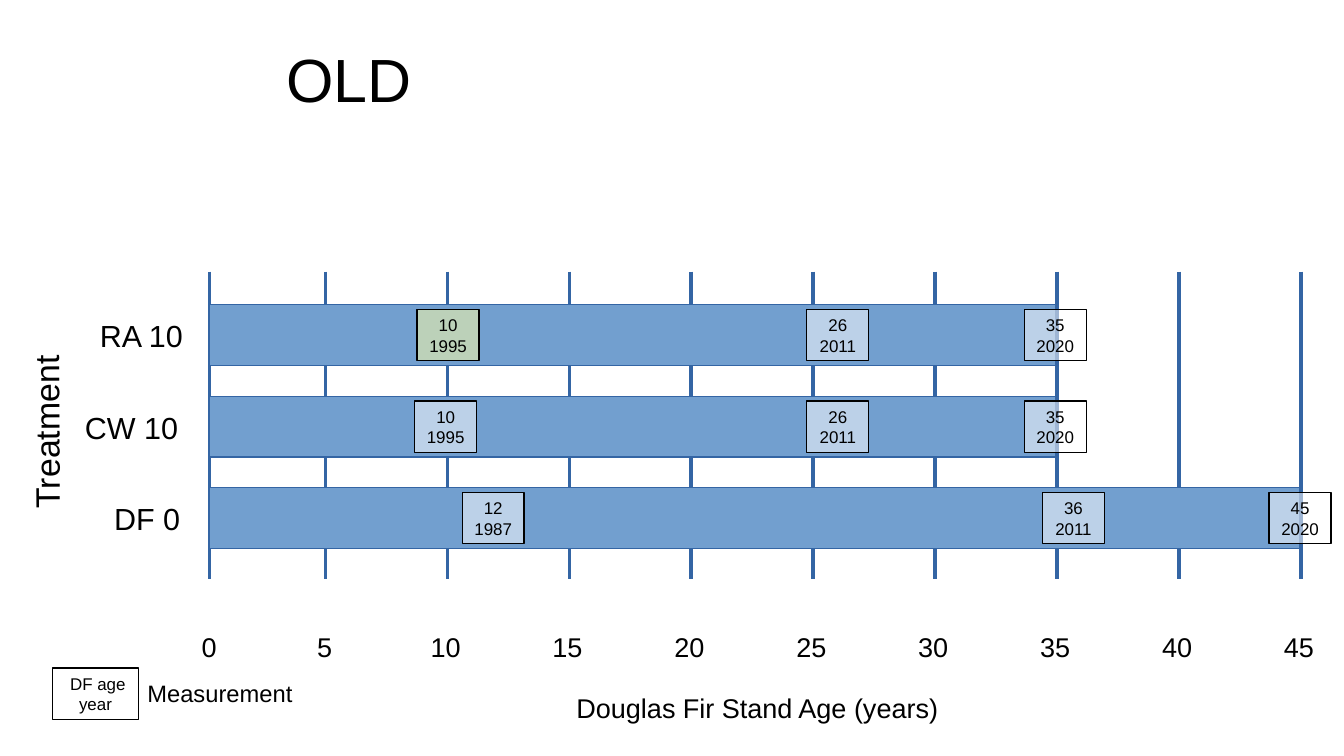
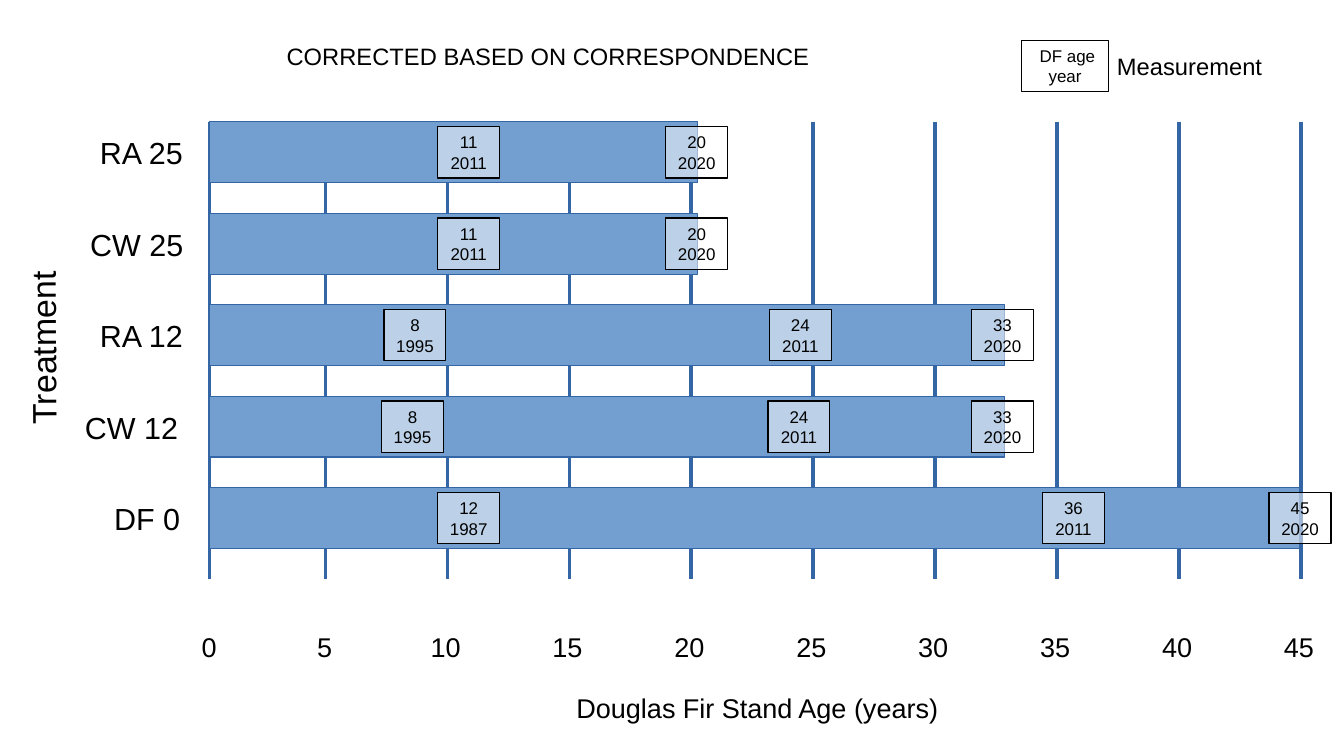
from pptx import Presentation
from pptx.dml.color import RGBColor
from pptx.enum.shapes import MSO_CONNECTOR, MSO_SHAPE
from pptx.enum.text import MSO_ANCHOR, MSO_AUTO_SIZE, PP_ALIGN
from pptx.oxml.ns import qn
from pptx.oxml.xmlchemy import OxmlElement
from pptx.util import Cm, Pt

RECTANGLE = MSO_SHAPE.RECTANGLE
STRAIGHT = MSO_CONNECTOR.STRAIGHT
LEFT, CENTER = PP_ALIGN.LEFT, PP_ALIGN.CENTER
TOP, MIDDLE = MSO_ANCHOR.TOP, MSO_ANCHOR.MIDDLE
NO_AUTOFIT = MSO_AUTO_SIZE.NONE

# Shared look and chart geometry, in cm
FONT = "Arial"
BLACK, WHITE, GREEN_TINT = "000000", "FFFFFF", "FFFFA6"
BAR_BLUE, LINE_BLUE = "729FCF", "3465A4"
OPACITY = "53000"
AXIS_X = 4.37
GRID_STEP = 2.54
GRID_X = [AXIS_X] + [6.78 + GRID_STEP * step for step in range(9)]
GRID_BOTTOM = 12.07
BAR_HEIGHT = 1.27
ROW_STEP = 1.5 * BAR_HEIGHT
LAST_BAR_TOP = 10.16
MARKER_WIDTH, MARKER_HEIGHT = 1.29, 1.07

# Each row: treatment, label left, bar length, measurements (age, year, left[, colour])
DF_END = [("36", "2011", 21.72), ("45", "2020", 26.44)]
TIMELINES = [
    dict(title="OLD", title_size=36, title_box=(3.18, 1.8),
         grid_top=5.66, axis_title=(-1.02, 8.38), legend=(1.09, 13.92),
         rows=[
             ("RA 10", 1.83, 17.63, [("10", "1995", 8.69, GREEN_TINT),
                                     ("26", "2011", 16.81), ("35", "2020", 21.34)]),
             ("CW 10", 1.52, 17.63, [("10", "1995", 8.64),
                                     ("26", "2011", 16.81), ("35", "2020", 21.34)]),
             ("DF 0", 2.13, 22.71, [("12", "1987", 9.63)] + DF_END),
         ]),
    dict(title="CORRECTED BASED ON CORRESPONDENCE", title_size=14, title_box=(12.07, 0.97),
         grid_top=2.54, axis_title=(-1.09, 6.63), legend=(21.29, 0.84),
         rows=[
             ("RA 25", 1.83, 10.16, [("11", "2011", 9.12), ("20", "2020", 13.87)]),
             ("CW 25", 1.63, 10.16, [("11", "2011", 9.12), ("20", "2020", 13.87)]),
             ("RA 12", 1.83, 16.56, [("8", "1995", 8), ("24", "2011", 16.03),
                                     ("33", "2020", 20.24)]),
             ("CW 12", 1.52, 16.56, [("8", "1995", 7.95), ("24", "2011", 16),
                                     ("33", "2020", 20.24)]),
             ("DF 0", 2.13, 22.71, [("12", "1987", 9.12)] + DF_END),
         ]),
]


def paint(fill, color):
    fill.solid()
    fill.fore_color.rgb = RGBColor.from_string(color)


def write(shape, text, size=16, color=BLACK, align=LEFT, anchor=TOP, side_inset=0.25):
    frame = shape.text_frame
    frame.text = text
    frame.word_wrap = True
    frame.auto_size = NO_AUTOFIT
    frame.vertical_anchor = anchor
    frame.margin_left = frame.margin_right = Cm(side_inset)
    frame.margin_top = frame.margin_bottom = Cm(0.13)
    for paragraph in frame.paragraphs:
        paragraph.alignment = align
        paragraph.font.name = FONT
        paragraph.font.size = Pt(size)
        paint(paragraph.font.fill, color)


deck = Presentation()
deck.slide_width, deck.slide_height = Cm(28), Cm(15.75)

for timeline in TIMELINES:
    slide = deck.slides.add_slide(deck.slide_layouts[5])
    shapes = slide.shapes

    # Title
    title = shapes.title
    title.left, title.top = Cm(5.72), Cm(0.74)
    title.width, title.height = [Cm(length) for length in timeline["title_box"]]
    write(title, timeline["title"], size=timeline["title_size"])

    # Grid lines and age scale
    for step, x in enumerate(GRID_X):
        grid_line = shapes.add_connector(STRAIGHT, Cm(x), Cm(timeline["grid_top"]),
                                         Cm(x), Cm(GRID_BOTTOM))
        paint(grid_line.line.fill, LINE_BLUE)
        grid_line.line.width = Pt(0)
        grid_line._element.spPr.append(OxmlElement("a:effectLst"))
        age = str(5 * step)
        age_width = 0.84 if len(age) == 1 else 1.2
        age_label = shapes.add_textbox(Cm(x - age_width / 2), Cm(13), Cm(age_width), Cm(0.97))
        write(age_label, age)

    # Axis titles
    age_title = shapes.add_textbox(Cm(11.76), Cm(14.27), Cm(9), Cm(0.97))
    write(age_title, "Douglas Fir Stand Age (years)")
    axis_left, axis_top = timeline["axis_title"]
    treatment_title = shapes.add_textbox(Cm(axis_left), Cm(axis_top), Cm(3.89), Cm(1.04))
    treatment_title.rotation = 269.7
    write(treatment_title, "Treatment", size=20)

    # Legend
    legend_left, legend_top = timeline["legend"]
    legend_label = shapes.add_textbox(Cm(legend_left + 1.73), Cm(legend_top + 0.1),
                                      Cm(3.89), Cm(0.97))
    write(legend_label, "Measurement", size=14)
    markers = [(legend_left, legend_top, 1.8, " DF age\nyear", WHITE)]

    # Treatment bars, stacked upwards from the last row
    rows = timeline["rows"]
    for index, (treatment, label_left, length, measurements) in enumerate(rows):
        bar_top = LAST_BAR_TOP - ROW_STEP * (len(rows) - 1 - index)
        bar = shapes.add_shape(RECTANGLE, Cm(AXIS_X), Cm(bar_top), Cm(length), Cm(BAR_HEIGHT))
        bar.shadow.inherit = False
        paint(bar.fill, BAR_BLUE)
        paint(bar.line.fill, LINE_BLUE)
        bar.line.width = Pt(0)
        treatment_label = shapes.add_textbox(Cm(label_left), Cm(bar_top + 0.13),
                                             Cm(2.84), Cm(0.97))
        write(treatment_label, treatment, size=18)
        for age, year, left, *tint in measurements:
            markers.append((left, bar_top + 0.1, MARKER_WIDTH, f"{age}\n{year}",
                            tint[0] if tint else WHITE))

    # Translucent measurement boxes, legend key included
    for left, top, width, text, color in markers:
        marker = shapes.add_shape(RECTANGLE, Cm(left), Cm(top), Cm(width), Cm(MARKER_HEIGHT))
        marker.shadow.inherit = False
        paint(marker.fill, color)
        alpha = OxmlElement("a:alpha")
        alpha.set("val", OPACITY)
        marker._element.spPr.find(qn("a:solidFill"))[0].append(alpha)
        paint(marker.line.fill, BLACK)
        marker.line.width = Pt(0)
        write(marker, text, size=10, align=CENTER, anchor=MIDDLE, side_inset=0)

deck.save("out.pptx")
